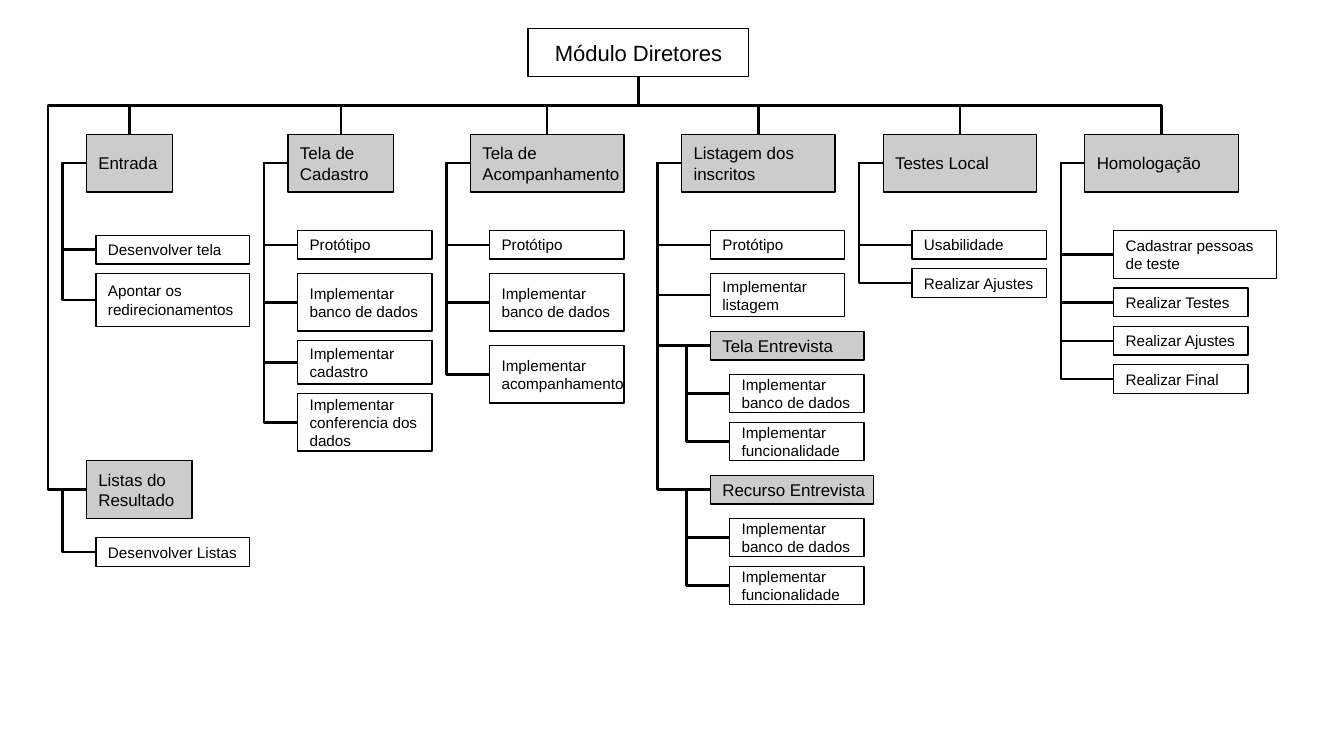
from dataclasses import dataclass

from lxml.etree import SubElement
from pptx import Presentation
from pptx.dml.color import RGBColor
from pptx.enum.shapes import MSO_CONNECTOR as Conn, MSO_SHAPE as Shape
from pptx.enum.text import MSO_ANCHOR as Anchor, PP_ALIGN as Align
from pptx.oxml.ns import qn
from pptx.shapes.autoshape import Shape as AutoShape
from pptx.shapes.connector import Connector
from pptx.slide import Slide
from pptx.util import Cm, Pt

BLACK = RGBColor(0x00, 0x00, 0x00)
WHITE = RGBColor(0xFF, 0xFF, 0xFF)
GRAY = RGBColor(0xCC, 0xCC, 0xCC)
TOP, LEFT, BOTTOM = 0, 1, 2
STUB = Cm(0.5)
BUS_DROP = Cm(0.6)
BUS_OVERHANG = Cm(0.8)


@dataclass
class Box:
    text: str
    x: float
    y: float
    w: float
    h: float
    fill: RGBColor = WHITE
    size: int = 9
    align: Align = Align.LEFT
    children: tuple["Box", ...] = ()


def group(text: str, x: float, y: float, w: float, h: float, *children: Box) -> Box:
    return Box(text, x, y, w, h, GRAY, 10, children=children)


def column(x: float, w: float, *tasks: tuple[str, float, float]) -> tuple[Box, ...]:
    return tuple(Box(text, x, y, w, h) for text, y, h in tasks)


ROOT = Box("Módulo Diretores", 11, 0.6, 4.6, 1, WHITE, 13, Align.CENTER)
HEADS = (
    group("Entrada", 1.8, 2.8, 1.8, 1.2, *column(
        2, 3.2,
        ("Desenvolver tela", 4.9, 0.6),
        ("Apontar os\nredirecionamentos", 5.7, 1.1))),
    group("Tela de\nCadastro", 6, 2.8, 2.2, 1.2, *column(
        6.2, 2.8,
        ("Protótipo", 4.8, 0.6),
        ("Implementar\nbanco de dados", 5.7, 1.2),
        ("Implementar\ncadastro", 7.1, 0.9),
        ("Implementar\nconferencia dos\ndados", 8.2, 1.2))),
    group("Tela de\nAcompanhamento", 9.8, 2.8, 3.2, 1.2, *column(
        10.2, 2.8,
        ("Protótipo", 4.8, 0.6),
        ("Implementar\nbanco de dados", 5.7, 1.2),
        ("Implementar\nacompanhamento", 7.2, 1.2))),
    group(
        "Listagem dos\ninscritos", 14.2, 2.8, 3.2, 1.2,
        *column(
            14.8, 2.8,
            ("Protótipo", 4.8, 0.6),
            ("Implementar\nlistagem", 5.7, 0.9)),
        *(group(text, 14.8, y, w, 0.6, *column(
            15.2, 2.8,
            ("Implementar\nbanco de dados", y + 0.9, 0.8),
            ("Implementar\nfuncionalidade", y + 1.9, 0.8)))
          for text, y, w in (("Tela Entrevista", 6.9, 3.2),
                             ("Recurso Entrevista", 9.9, 3.4)))),
    group("Testes Local", 18.4, 2.8, 3.2, 1.2, *column(
        19, 2.8,
        ("Usabilidade", 4.8, 0.6),
        ("Realizar Ajustes", 5.6, 0.6))),
    group(
        "Homologação", 22.6, 2.8, 3.2, 1.2,
        Box("Cadastrar pessoas\nde teste", 23.2, 4.8, 3.4, 1),
        *column(
            23.2, 2.8,
            ("Realizar Testes", 6, 0.6),
            ("Realizar Ajustes", 6.8, 0.6),
            ("Realizar Final", 7.6, 0.6))),
)
RESULTS = group("Listas do\nResultado", 1.8, 9.6, 2.2, 1.2, *column(
    2, 3.2, ("Desenvolver Listas", 11.2, 0.6)))


def draw_box(s: Slide, box: Box) -> AutoShape:
    sp = s.shapes.add_shape(Shape.RECTANGLE, Cm(box.x), Cm(box.y), Cm(box.w), Cm(box.h))
    sp.shadow.inherit = False
    sp.fill.solid()
    sp.fill.fore_color.rgb = box.fill
    sp.line.color.rgb = BLACK
    sp.line.width = Pt(0)
    tf = sp.text_frame
    tf.word_wrap = False
    tf.vertical_anchor = Anchor.MIDDLE
    tf.text = box.text
    for p in tf.paragraphs:
        p.alignment = box.align
        p.font.name = "Arial"
        p.font.size = Pt(box.size)
        p.font.color.rgb = BLACK
    return sp


def draw_elbow(s: Slide, start: AutoShape, start_site: int,
               end: AutoShape, end_site: int) -> Connector:
    c = s.shapes.add_connector(Conn.ELBOW, 0, 0, 0, 0)
    c.begin_connect(start, start_site)
    c.end_connect(end, end_site)
    c.line.color.rgb = BLACK
    c.line.width = Pt(1.42)
    SubElement(c._element.spPr, qn("a:effectLst"))
    return c


def set_bends(c: Connector, preset: str, *bends: tuple[str, float]) -> None:
    geom = c._element.spPr.find(qn("a:prstGeom"))
    geom.set("prst", preset)
    for name, ratio in bends:
        SubElement(geom.find(qn("a:avLst")), qn("a:gd"),
                   name=name, fmla=f"val {round(ratio * 100000)}")


def turn_down(c: Connector) -> None:
    x1, y1, x2, y2 = c.begin_x, c.begin_y, c.end_x, c.end_y
    run, drop = abs(x2 - x1), y2 - y1
    c.left, c.top = (x1 + x2 - drop) // 2, (y1 + y2 - run) // 2
    c.width, c.height = drop, run
    xfrm = c._element.spPr.find(qn("a:xfrm"))
    xfrm.attrib.pop("flipH", None)
    xfrm.set("rot", str((90 if x2 < x1 else 270) * 60000))
    if x2 > x1:
        xfrm.set("flipH", "1")


def draw_tree(s: Slide, box: Box) -> AutoShape:
    parent = draw_box(s, box)
    for child in box.children:
        c = draw_elbow(s, parent, LEFT, draw_tree(s, child), LEFT)
        set_bends(c, "bentConnector3", ("adj1", -STUB / Cm(child.x - box.x)))
    return parent


def main() -> None:
    prs = Presentation()
    prs.slide_width, prs.slide_height = Cm(28), Cm(15.75)
    s = prs.slides.add_slide(prs.slide_layouts[6])
    root = draw_box(s, ROOT)
    for head in HEADS:
        c = draw_elbow(s, root, BOTTOM, draw_tree(s, head), TOP)
        set_bends(c, "bentConnector3", ("adj1", 0.5))
        turn_down(c)
    c = draw_elbow(s, root, BOTTOM, draw_tree(s, RESULTS), LEFT)
    run, drop = c.begin_x - c.end_x, c.end_y - c.begin_y
    set_bends(c, "bentConnector4",
              ("adj1", BUS_DROP / drop), ("adj2", 1 + BUS_OVERHANG / run))
    turn_down(c)
    prs.save("out.pptx")


if __name__ == "__main__":
    main()
